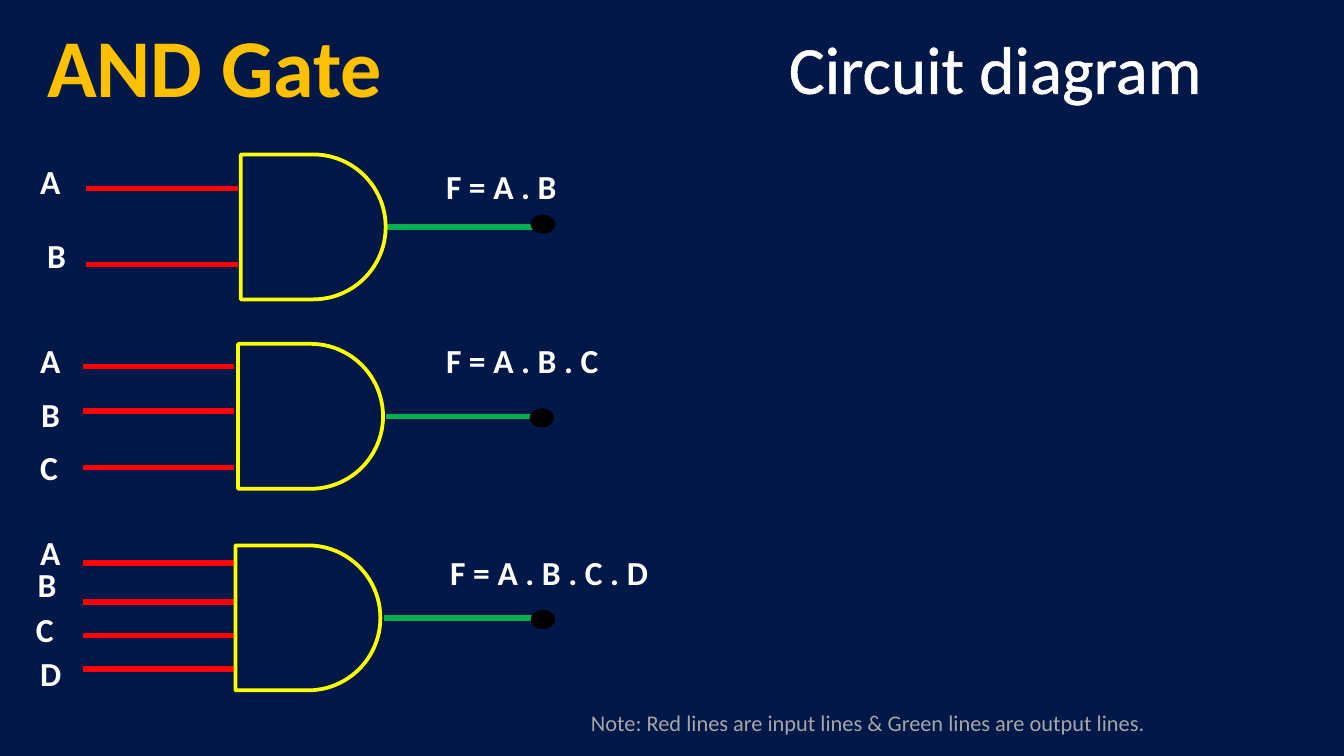
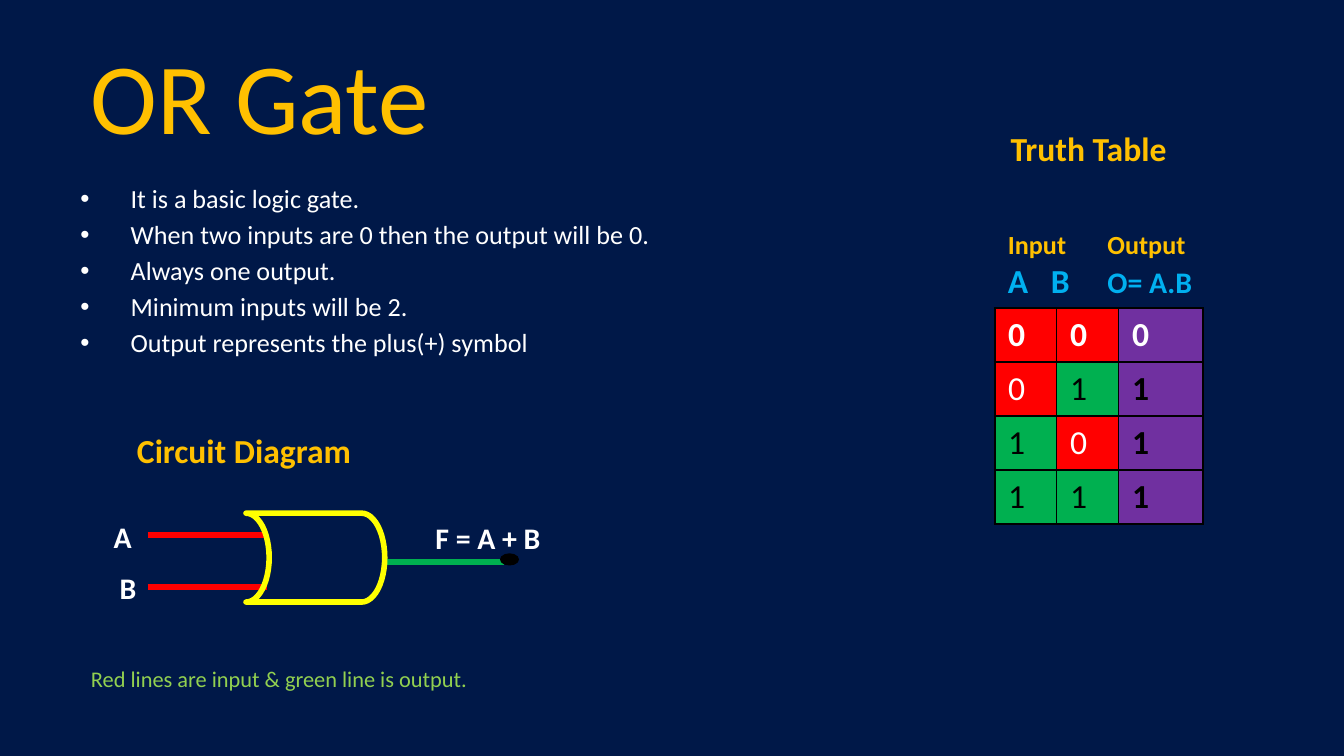
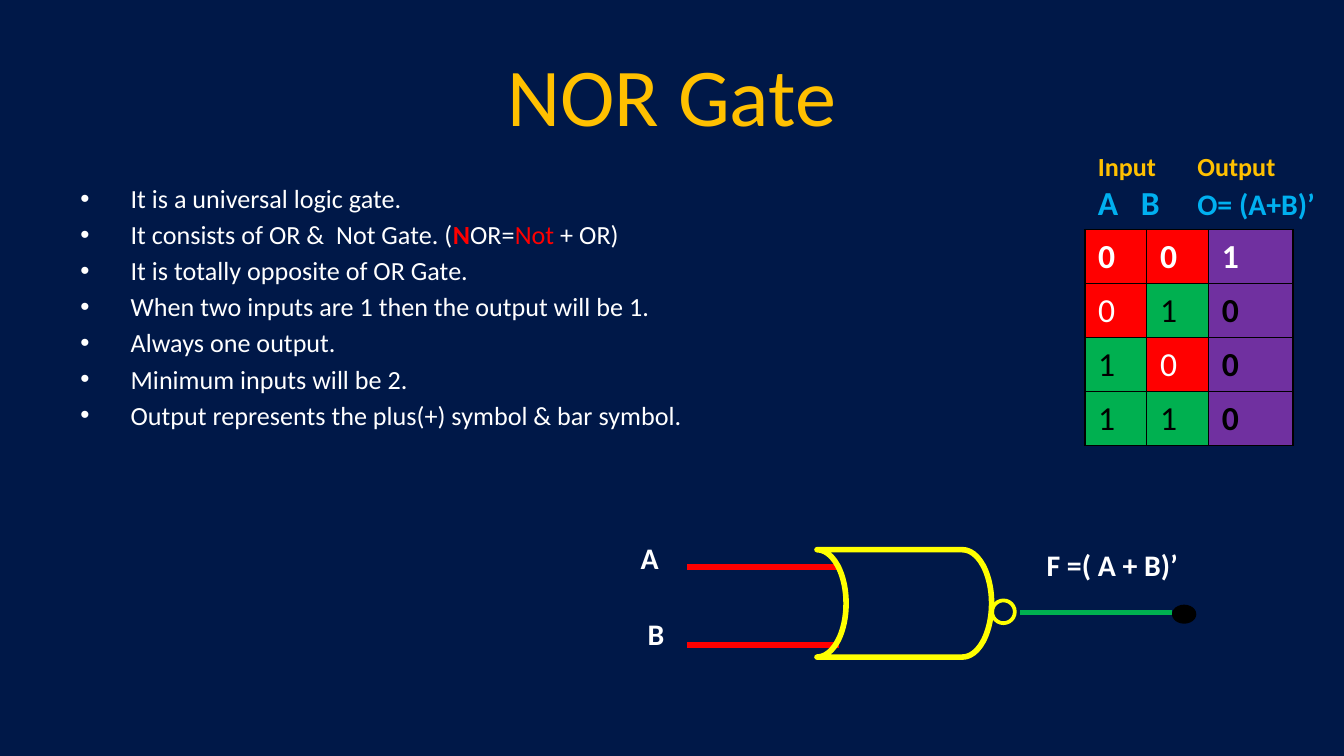
import itertools

import pptx
import pptx.dml.color
import pptx.enum.shapes
import pptx.enum.text
import pptx.oxml
import pptx.oxml.ns
import pptx.util

Cm = pptx.util.Cm
Pt = pptx.util.Pt
Shape = pptx.enum.shapes.MSO_SHAPE
Align = pptx.enum.text.PP_ALIGN

NAVY, GOLD, WHITE, BLACK = "001848", "FFC000", "FFFFFF", "000000"
RED, GREEN, YELLOW, PURPLE = "FF0000", "00B050", "FFFF00", "7030A0"
SKY, GREY, LIME = "00B0F0", "A6A6A6", "92D050"
FONT = "Calibri"

AND_CIRCUITS = [
    {
        "body": (4.55, 2.92, 2.74, 2.74),
        "inputs": [("A", 0.51, 2.92, 3.56), ("B", 0.64, 4.32, 5.0)],
        "input_span": (1.63, 4.5),
        "output": (7.29, 10.16, 4.29),
        "formula": ("F = A . B", 8.18, 3.02, 2.64),
        "dot": (10.03, 4.06, 0.46, 0.36),
    },
    {
        "body": (4.5, 6.5, 2.74, 2.74),
        "inputs": [("A", 0.51, 6.3, 6.93), ("B", 0.53, 7.32, 7.77), ("C", 0.51, 8.33, 8.84)],
        "input_span": (1.56, 4.43),
        "output": (7.29, 10.16, 7.87),
        "formula": ("F = A . B . C", 8.18, 6.3, 3.43),
        "dot": (10.01, 7.72, 0.46, 0.36),
    },
    {
        "body": (4.45, 10.31, 2.74, 2.74),
        "inputs": [("A", 0.51, 9.93, 10.64), ("B", 0.46, 10.54, 11.38),
                   ("C", 0.43, 11.38, 12.01), ("D", 0.51, 12.22, 12.65)],
        "input_span": (1.56, 4.43),
        "output": (7.26, 10.13, 11.68),
        "formula": ("F = A . B . C . D", 8.26, 10.31, 4.29),
        "dot": (10.03, 11.53, 0.46, 0.36),
    },
]
OR_CIRCUIT = {
    "body": (4.65, 9.7, 2.62, 1.68),
    "inputs": [("A", 1.9, 9.68, 10.11), ("B", 2.01, 10.64, 11.1)],
    "input_span": (2.79, 5.05),
    "output": (7.26, 9.52, 10.62),
    "formula": ("F = A + B", 7.98, 9.7, 2.54),
    "dot": (9.45, 10.46, 0.36, 0.23),
}
NOR_CIRCUIT = {
    "body": (15.44, 10.39, 3.3, 2.03),
    "inputs": [("A", 11.86, 10.08, 10.72), ("B", 11.99, 11.51, 12.19)],
    "input_span": (12.98, 15.85),
    "output": (19.28, 22.15, 11.58),
    "formula": ("F =( A + B)’", 19.53, 10.21, 3.02),
    "dot": (22.15, 11.43, 0.46, 0.36),
}
NOR_BUBBLE = (18.75, 11.35, 0.43, 0.43)

OR_FACTS = [
    "It is a basic logic gate.",
    "When two inputs are 0 then the output will be 0.",
    "Always one output.",
    "Minimum inputs will be 2.",
    "Output represents the plus(+) symbol",
]
NOR_FACTS = [
    "It is a universal logic gate.",
    [("It consists of OR &  Not Gate. (", WHITE, {}), ("N", RED, {"bold": True}),
     ("OR=", WHITE, {}), ("Not ", RED, {}), ("+ OR)", WHITE, {})],
    "It is totally opposite of OR Gate.",
    "When two inputs are 1 then the output will be 1.",
    "Always one output.",
    "Minimum inputs will be 2.",
    "Output represents the plus(+) symbol & bar symbol.",
]
OR_OUTPUTS = (0, 1, 1, 1)
NOR_OUTPUTS = (1, 0, 0, 0)

TABLE_COLUMNS = (1.17, 1.17, 1.6)
TABLE_ROW = 1.02
SECOND_INPUT_TAB, OUTPUT_TAB = 0.81, 1.88


def rgb(color):
    return pptx.dml.color.RGBColor.from_string(color)


def element(markup):
    return pptx.oxml.parse_xml(markup.replace(">", f" {pptx.oxml.ns.nsdecls('a')}>", 1))


def add_span(para, text, color, size, **font_format):
    span = para.add_run()
    span.text = text
    values = {"name": FONT, "size": Pt(size), "bold": False, **font_format}
    for name, value in values.items():
        setattr(span.font, name, value)
    span.font.color.rgb = rgb(color)
    return span


def add_box(page, place, **frame_format):
    frame = page.shapes.add_textbox(*map(Cm, place)).text_frame
    for name, value in frame_format.items():
        setattr(frame, name, value)
    return frame


def add_label(page, text, place, size, color=WHITE, bold=True):
    frame = add_box(page, place, word_wrap=False,
                    auto_size=pptx.enum.text.MSO_AUTO_SIZE.SHAPE_TO_FIT_TEXT)
    return add_span(frame.paragraphs[0], text, color, size, bold=bold)


def add_title(page, text, left, top, size, bold=False, align=Align.LEFT):
    frame = add_box(page, (left, top, 22.86, 2.39), word_wrap=True,
                    vertical_anchor=pptx.enum.text.MSO_ANCHOR.MIDDLE)
    frame.paragraphs[0].alignment = align
    add_span(frame.paragraphs[0], text, GOLD, size, bold=bold)


def add_facts(page, facts):
    frame = add_box(page, (1.27, 3.33, 22.86, 9.42), word_wrap=True)
    for index, fact in enumerate(facts):
        para = frame.add_paragraph() if index else frame.paragraphs[0]
        para.space_before = Pt(2.5)
        properties = para._p.get_or_add_pPr()
        properties.set("marL", str(Cm(0.95)))
        properties.set("indent", str(-Cm(0.95)))
        properties.append(element('<a:buFont typeface="Arial"/>'.replace("/>", "></a:buFont>")))
        properties.append(element('<a:buChar char="•"></a:buChar>'))
        spans = [(fact, WHITE, {})] if isinstance(fact, str) else fact
        for text, color, font_format in spans:
            add_span(para, text, color, 14, **font_format)


def add_wire(page, left, right, height, color):
    wire = page.shapes.add_connector(pptx.enum.shapes.MSO_CONNECTOR.STRAIGHT,
                                     Cm(left), Cm(height), Cm(right), Cm(height))
    wire.line.color.rgb = rgb(color)
    wire.line.width = Pt(3)
    wire._element.spPr.append(element("<a:effectLst></a:effectLst>"))


def add_part(page, kind, place, fill=None, line=None, width=2, rotation=0):
    part = page.shapes.add_shape(kind, *map(Cm, place))
    part.shadow.inherit = False
    part.rotation = rotation
    if fill:
        part.fill.solid()
        part.fill.fore_color.rgb = rgb(fill)
    else:
        part.fill.background()
    if line:
        part.line.color.rgb = rgb(line)
        part.line.width = Pt(width)
    else:
        part.line.fill.background()


def add_circuit(page, circuit, kind, size, width, rotation=0):
    add_wire(page, *circuit["output"], GREEN)
    for name, left, top, height in circuit["inputs"]:
        add_wire(page, *circuit["input_span"], height, RED)
        add_label(page, name, (left, top, 0.88, 0.94), size)
    formula, left, top, span_width = circuit["formula"]
    add_label(page, formula, (left, top, span_width, 0.94), size)
    add_part(page, Shape.OVAL, circuit["dot"], fill=BLACK)
    add_part(page, kind, circuit["body"], line=YELLOW, width=width, rotation=rotation)


def add_or_circuit(page, circuit):
    add_circuit(page, circuit, Shape.FLOWCHART_STORED_DATA, 16, 3, 180)


def set_tabs(para, stops):
    tabs = "".join(f'<a:tab pos="{Cm(stop)}" algn="l"/>' for stop in stops)
    para._p.get_or_add_pPr().append(element(f"<a:tabLst>{tabs}</a:tabLst>"))


def add_table_heading(page, left, top, width, formula):
    frame = add_box(page, (left, top, width, 1.63), word_wrap=False,
                    auto_size=pptx.enum.text.MSO_AUTO_SIZE.SHAPE_TO_FIT_TEXT)
    groups, names = frame.paragraphs[0], frame.add_paragraph()
    set_tabs(groups, [OUTPUT_TAB])
    add_span(groups, "Input\tOutput", GOLD, 14, bold=True)
    set_tabs(names, [SECOND_INPUT_TAB, OUTPUT_TAB])
    add_span(names, "A\tB\t", SKY, 18, bold=True)
    add_span(names, formula, SKY, 16, bold=True)


def add_truth_table(page, left, top, outputs):
    place = (left, top, sum(TABLE_COLUMNS), TABLE_ROW * len(outputs))
    table = page.shapes.add_table(len(outputs), len(TABLE_COLUMNS), *map(Cm, place)).table
    table.first_row = table.horz_banding = False
    for column, width in zip(table.columns, TABLE_COLUMNS):
        column.width = Cm(width)
    inputs = itertools.product((0, 1), repeat=2)
    for row, (pair, output) in enumerate(zip(inputs, outputs)):
        table.rows[row].height = Cm(TABLE_ROW)
        for column, value in enumerate((*pair, output)):
            is_output = column == 2
            cell = table.cell(row, column)
            for side in "LRTB":
                cell._tc.get_or_add_tcPr().append(element(
                    f'<a:ln{side} w="{Pt(1)}"><a:solidFill><a:srgbClr val="{BLACK}"/>'
                    f"</a:solidFill></a:ln{side}>"))
            cell.fill.solid()
            cell.fill.fore_color.rgb = rgb(PURPLE if is_output else (RED, GREEN)[value])
            is_white = row == 0 or not (is_output or value)
            add_span(cell.text_frame.paragraphs[0], str(value), WHITE if is_white else BLACK,
                     18, bold=row == 0 or is_output)


def build_and_page(page):
    add_title(page, "AND Gate", 0.64, 0.03, 44, bold=True)
    for circuit in AND_CIRCUITS:
        add_circuit(page, circuit, Shape.FLOWCHART_DELAY, 18, 2)
    heading = add_label(page, "Circuit diagram", (14.66, 0.38, 8.38, 1.8), 36, bold=False)
    heading.font._element.insert(0, element(
        f'<a:ln w="{Pt(1.45)}"><a:solidFill><a:srgbClr val="{WHITE}"/></a:solidFill></a:ln>'))
    add_label(page, "Note: Red lines are input lines & Green lines are output lines.",
              (10.92, 13.28, 11.1, 0.76), 12, GREY, False)


def build_or_page(page):
    add_title(page, "OR Gate", 1.47, 0.58, 54)
    add_facts(page, OR_FACTS)
    add_or_circuit(page, OR_CIRCUIT)
    add_truth_table(page, 18.8, 5.82, OR_OUTPUTS)
    add_table_heading(page, 18.8, 4.19, 4.06, "O= A.B")
    add_label(page, "Truth Table", (18.85, 2.29, 3.48, 1.02), 18, GOLD)
    add_label(page, "Circuit Diagram", (2.34, 8.0, 4.6, 1.02), 18, GOLD)
    add_label(page, "Red lines are input & green line is output.",
              (1.47, 12.45, 7.7, 0.76), 12, LIME, False)


def build_nor_page(page):
    add_title(page, "NOR Gate", 1.27, 0.58, 44, align=Align.CENTER)
    add_facts(page, NOR_FACTS)
    add_truth_table(page, 20.5, 4.34, NOR_OUTPUTS)
    add_table_heading(page, 20.5, 2.72, 4.67, "O= (A+B)’")
    add_or_circuit(page, NOR_CIRCUIT)
    add_part(page, Shape.FLOWCHART_CONNECTOR, NOR_BUBBLE, line=YELLOW)


def main():
    deck = pptx.Presentation()
    deck.slide_width, deck.slide_height = Cm(25.4), Cm(14.29)
    backdrop = deck.slide_master.background.fill
    backdrop.solid()
    backdrop.fore_color.rgb = rgb(NAVY)
    for build in (build_and_page, build_or_page, build_nor_page):
        build(deck.slides.add_slide(deck.slide_layouts[6]))
    deck.save("out.pptx")


if __name__ == "__main__":
    main()
